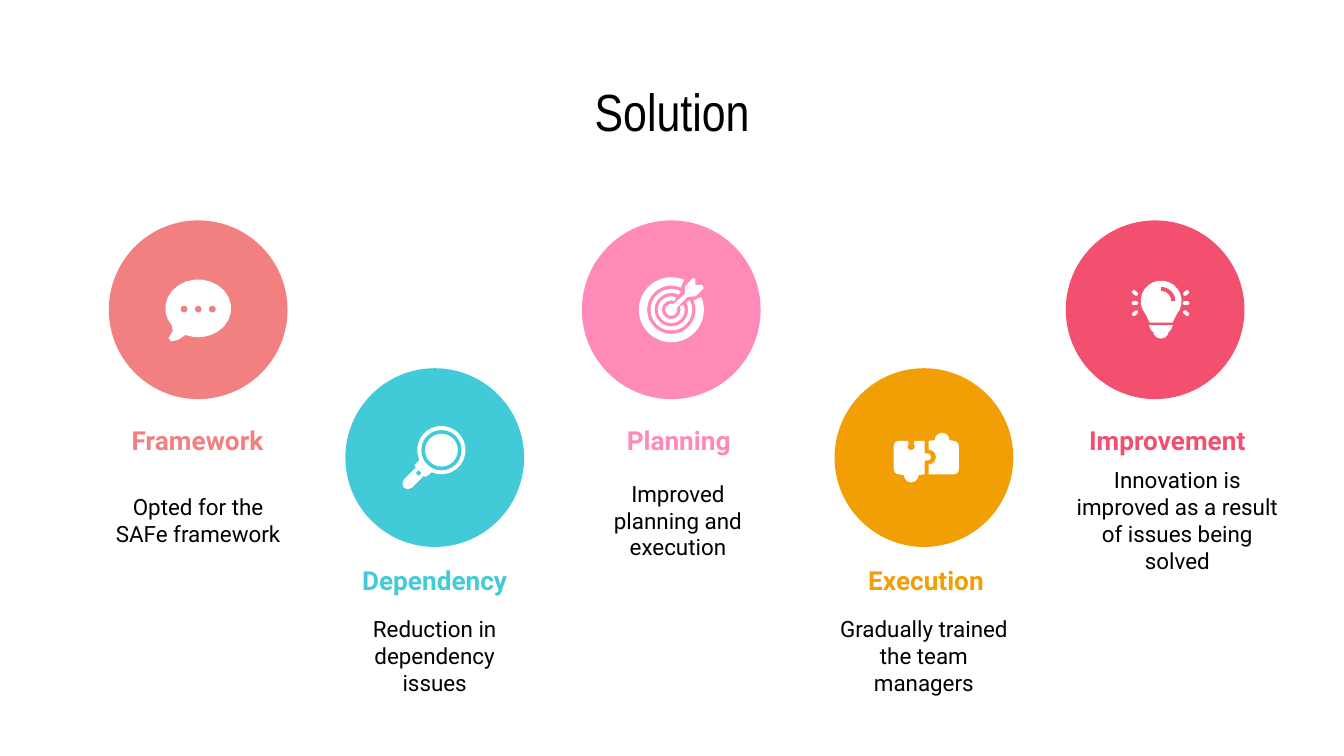
"""Build the Solution slide: five staggered circles with icons, headings and notes."""
from dataclasses import dataclass
from math import cos, radians, sin
from typing import Any, Callable

from pptx import Presentation
from pptx.dml.color import RGBColor
from pptx.enum.shapes import MSO_SHAPE
from pptx.enum.text import MSO_ANCHOR, MSO_AUTO_SIZE, PP_ALIGN
from pptx.util import Inches, Pt

OVAL = MSO_SHAPE.OVAL
DIAMOND = MSO_SHAPE.DIAMOND
BLOCK_ARC = MSO_SHAPE.BLOCK_ARC
ROUNDED = MSO_SHAPE.ROUNDED_RECTANGLE
MIDDLE = MSO_ANCHOR.MIDDLE
CENTER = PP_ALIGN.CENTER
NO_FIT = MSO_AUTO_SIZE.NONE
TITLE_ONLY = 5
WIDTH = Inches(10)
HEIGHT = WIDTH * 9 // 16
CELL = WIDTH // 100
DIAMETER = 13.3


@dataclass(frozen=True)
class Theme:
    """Colours, fonts and type sizes of the slide."""
    ink: str = "000000"
    icon: str = "FFFFFF"
    coral: str = "F28080"
    teal: str = "43CAD9"
    pink: str = "FF8AB7"
    amber: str = "F29F05"
    red: str = "F2506E"
    title_font: str = "Arial Narrow"
    body_font: str = "Roboto"
    title_size: int = 28
    heading_size: int = 14
    body_size: int = 12


@dataclass(frozen=True)
class Row:
    """Grid rows of a circle, its heading and its note."""
    circle: float
    heading: float
    note: float


@dataclass(frozen=True)
class Step:
    """One step, with heading and note spans as (left, width) in columns."""
    heading: str
    note: str
    color: str
    draw_icon: Callable
    row: Row
    left: float
    heading_span: tuple
    note_span: tuple


THEME = Theme()
UPPER = Row(16.4, 31, 34.9)
LOWER = Row(27.4, 41.4, 45)


def cells(*values):
    """Convert grid cells to slide lengths."""
    return [round(v * CELL) for v in values]


def paint(sp, color):
    """Give a shape a plain fill with no line or shadow."""
    sp.shadow.inherit = False
    sp.fill.solid()
    sp.fill.fore_color.rgb = RGBColor.from_string(color)
    sp.line.fill.background()


def arc(cx, cy, rx, start, end, ry=None):
    """Return points along an elliptical arc, angles clockwise from the right."""
    n = max(2, round(abs(end - start) / (15 if rx > 1 else 30)))
    angles = [radians(start + (end - start) * i / n) for i in range(n + 1)]
    return [(cx + rx * cos(a), cy + (ry or rx) * sin(a)) for a in angles]


@dataclass(frozen=True)
class Pen:
    """Draws icon parts in cells around the centre of a circle."""
    s: Any
    cx: float
    cy: float

    def preset(self, kind, x, y, width, height, color=THEME.icon):
        """Draw a preset shape centred on a point."""
        sp = self.s.shapes.add_shape(kind, *cells(
            self.cx + x - width / 2, self.cy + y - height / 2, width, height))
        paint(sp, color)
        return sp

    def disc(self, x, y, radius, color=THEME.icon):
        """Draw a filled circle."""
        self.preset(OVAL, x, y, 2 * radius, 2 * radius, color)

    def band(self, x, y, outer, inner, start, end, color=THEME.icon):
        """Draw a ring segment running clockwise between two angles."""
        sp = self.preset(BLOCK_ARC, x, y, 2 * outer, 2 * outer, color)
        sp.adjustments[0] = start * 0.6
        sp.adjustments[1] = end * 0.6
        sp.adjustments[2] = (outer - inner) / (2 * outer)

    def outline(self, points):
        """Draw a closed outline."""
        first, *rest = [cells(self.cx + x, self.cy + y) for x, y in points]
        builder = self.s.shapes.build_freeform(*first)
        builder.add_line_segments(rest, close=True)
        paint(builder.convert_to_shape(), THEME.icon)


def draw_speech(pen, color):
    """Draw a speech bubble with three dots."""
    tail = [(-1.95, 1.2), (-1.9, 1.6), (-2.2, 2.1), (-2.05, 2.35), (-1.5, 2.25)]
    pen.outline(arc(0, -0.1, 2.45, 113, -218, 2.15) + tail)
    for x in (-1.05, 0, 1.05):
        pen.disc(x, -0.05, 0.25, color)


def draw_magnifier(pen, color):
    """Draw a magnifier with a slotted handle."""
    handle = [(-1.3, 0.35), (-1.5, 0.55), (-1.4, 0.75), (-2.3, 1.65),
              (-2.4, 1.95), (-2.3, 2.25), (-2, 2.35), (-1.7, 2.25),
              (-0.8, 1.35), (-0.7, 1.45), (-0.4, 1.25)]
    pen.outline(arc(0.5, -0.55, 1.8, 114, -204) + handle)
    pen.disc(0.5, -0.55, 1.5, color)
    pen.disc(0.5, -0.55, 1.22)
    pen.preset(DIAMOND, -1.2, 1.15, 0.4, 0.4, color)


def draw_target(pen, color):
    """Draw three open rings and an arrow in the centre."""
    for outer, inner, gap in ((2.42, 1.8, 22), (1.55, 1.25, 18), (1, 0.7, 24)):
        pen.band(0, 0, outer, inner, 315 + gap, 315 - gap)
    pen.outline(arc(0, 0, 0.45, -20, 290) + [
        (1, -1.15), (1, -1.7), (1.6, -2.35), (1.8, -2.3), (1.8, -1.85),
        (2.3, -1.85), (2.4, -1.6), (1.8, -1), (1.2, -0.95)])


def draw_puzzle(pen, color):
    """Draw two interlocking puzzle pieces."""
    pen.outline(arc(-1.85, -0.85, 0.4, 180, 270) + [(-1.2, -1.25)]
                + arc(-0.95, -0.82, 0.27, 225, -45)
                + [(-0.7, -1.25), (0.05, -1.25), (0.05, -0.4)]
                + arc(0.25, -0.05, 0.27, -120, 120) + [(0.05, 0.35), (0.05, 1.25)]
                + arc(-0.95, 1.3, 0.55, 0, 180) + arc(-1.85, 0.85, 0.4, 90, 180))
    pen.outline([(0.35, -1.25)] + arc(1.35, -1.3, 0.55, 180, 360)
                + arc(2.2, -0.85, 0.4, 270, 360) + arc(2.2, 0.85, 0.4, 0, 90)
                + [(0.35, 1.25)] + arc(0.35, -0.05, 0.55, 90, -90))


def draw_bulb(pen, color):
    """Draw a light bulb, its base and the rays on both sides."""
    pen.outline(arc(0.45, -0.65, 1.52, 140, 400) + [(1.3, 0.95), (-0.4, 0.95)])
    pen.band(0.45, -0.65, 1.05, 0.75, 270, 0, color)
    pen.outline([(-0.45, 1.15), (1.3, 1.15), (1.25, 1.35), (1.05, 1.65)]
                + arc(0.43, 1.55, 0.6, 0, 180) + [(-0.2, 1.65), (-0.4, 1.35)])
    for side in (-1, 1):
        for turn in (-1, 0, 1):
            sp = pen.preset(ROUNDED, 0.4 + side * 1.9, -0.5 + turn * 0.75, 0.5, 0.28)
            sp.adjustments[0] = 0.5
            sp.rotation = side * turn * 40


def set_text(sp, text, font, size, color, inset=0.0, bold=False):
    """Fill a text frame with one centred run and return its paragraph."""
    tf = sp.text_frame
    tf.word_wrap = True
    tf.auto_size = NO_FIT
    tf.vertical_anchor = MIDDLE
    tf.margin_left = tf.margin_right = Inches(inset)
    tf.margin_top = tf.margin_bottom = Inches(inset)
    p = tf.paragraphs[0]
    p.alignment = CENTER
    r = p.add_run()
    r.text = text
    r.font.name = font
    r.font.size = Pt(size)
    r.font.bold = bold
    r.font.color.rgb = RGBColor.from_string(color)
    return p


def add_title(s, text):
    """Place and format the title."""
    sp = s.shapes.title
    sp.left, sp.top, sp.width, sp.height = cells(31.25, 5.9, 37.5, 5.3)
    p = set_text(sp, text, THEME.title_font, THEME.title_size, THEME.ink, 0.1)
    p.line_spacing = 0.9


def add_step(s, step):
    """Draw a circle with its icon, heading and note."""
    row = step.row
    pen = Pen(s, step.left + DIAMETER / 2, row.circle + DIAMETER / 2)
    pen.disc(0, 0, DIAMETER / 2, step.color)
    step.draw_icon(pen, step.color)
    left, width = step.heading_span
    sp = s.shapes.add_textbox(*cells(left, row.heading, width, 3.5))
    set_text(sp, step.heading, THEME.body_font, THEME.heading_size, step.color, 0.1, True)
    left, width = step.note_span
    sp = s.shapes.add_textbox(*cells(left, row.note, width, 7.6))
    set_text(sp, step.note, THEME.body_font, THEME.body_size, THEME.ink)


def main():
    """Build and save the slide."""
    steps = (
        Step("Framework", "Opted for the SAFe framework", THEME.coral,
             draw_speech, UPPER, 8.1, (8.3, 12.8), (8.1, 13.3)),
        Step("Dependency", "Reduction in dependency issues", THEME.teal,
             draw_magnifier, LOWER, 25.7, (25.5, 13.7), (25.7, 13.3)),
        Step("Planning", "Improved planning and execution", THEME.pink,
             draw_target, UPPER, 43.3, (44.1, 12.8), (43.8, 13.3)),
        Step("Execution", "Gradually trained the team managers", THEME.amber,
             draw_puzzle, LOWER, 62.1, (62.5, 12.8), (62.1, 13.3)),
        Step("Improvement", "Innovation is improved as a result of issues being solved",
             THEME.red, draw_bulb, UPPER, 79.3, (79.9, 13.9), (79.5, 16.2)),
    )
    prs = Presentation()
    prs.slide_width, prs.slide_height = WIDTH, HEIGHT
    s = prs.slides.add_slide(prs.slide_layouts[TITLE_ONLY])
    add_title(s, "Solution")
    for step in steps:
        add_step(s, step)
    prs.save("out.pptx")


if __name__ == "__main__":
    main()
